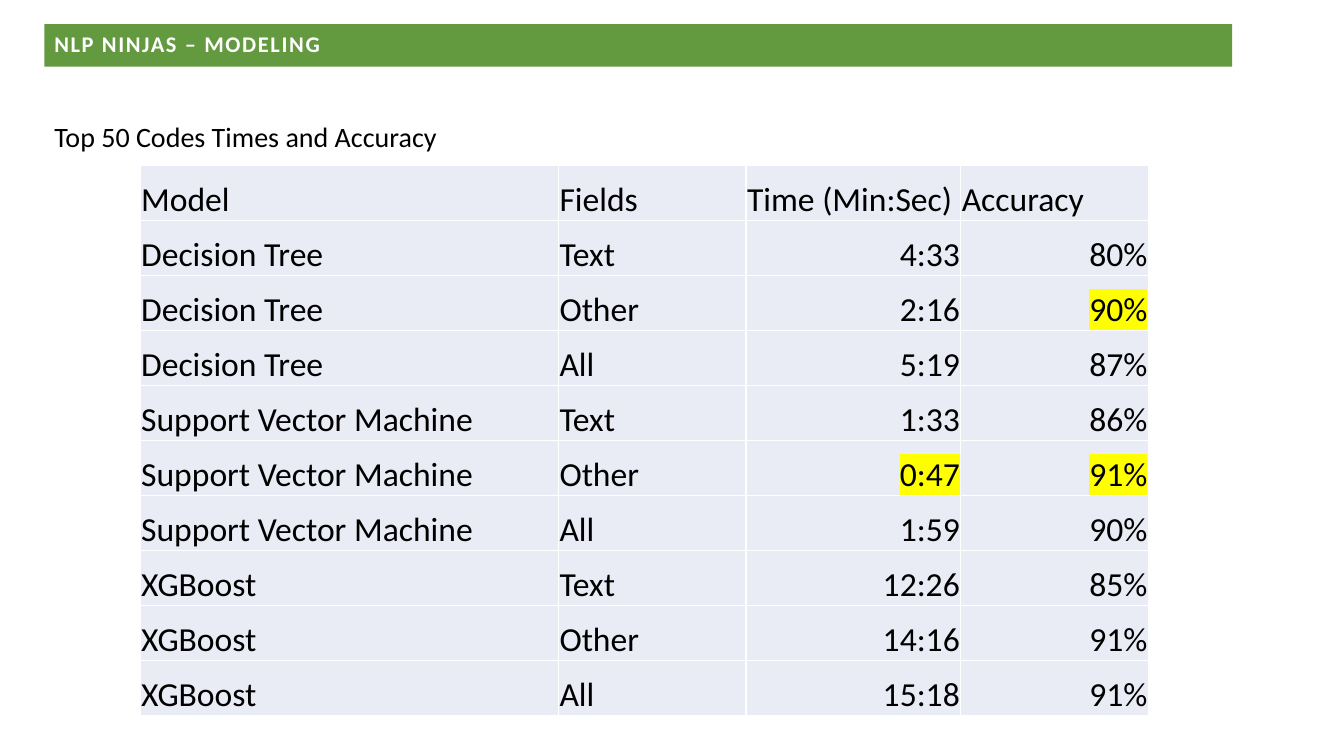
from lxml import etree
from pptx import Presentation
from pptx.dml.color import RGBColor
from pptx.enum.shapes import MSO_SHAPE
from pptx.enum.text import MSO_ANCHOR, PP_ALIGN
from pptx.oxml.ns import qn
from pptx.util import Inches, Pt

RECTANGLE = MSO_SHAPE.RECTANGLE
MIDDLE, BOTTOM = MSO_ANCHOR.MIDDLE, MSO_ANCHOR.BOTTOM
LEFT, RIGHT = PP_ALIGN.LEFT, PP_ALIGN.RIGHT

COLORS = {
    "banner": "63993F",
    "white": "FFFFFF",
    "text": "000000",
    "cell": "E9EBF5",
    "highlight": "FFFF00",
}

HEADERS = ["Model", "Fields", "Time (Min:Sec)", "Accuracy"]
FIELDS = ["Text", "Other", "All"]
RESULTS = {
    "Decision Tree": [("4:33", "80%"), ("2:16", "90%"), ("5:19", "87%")],
    "Support Vector Machine": [("1:33", "86%"), ("0:47", "91%"), ("1:59", "90%")],
    "XGBoost": [("12:26", "85%"), ("14:16", "91%"), ("15:18", "91%")],
}
HIGHLIGHTED = {(2, 3), (5, 2), (5, 3)}  # row, column
COLUMN_SHARES = [0.415, 0.186, 0.213, 0.186]


def rgb(name):
    return RGBColor.from_string(COLORS[name])


def set_values(target, values):
    for name, value in values.items():
        setattr(target, name, value)


def write(paragraph, text, size, color="text", bold=False):
    run = paragraph.add_run()
    run.text = text
    set_values(run.font, {"name": "Calibri", "size": Pt(size), "bold": bold})
    run.font.color.rgb = rgb(color)
    return run


def highlight(run):
    mark = etree.Element(qn("a:highlight"))
    etree.SubElement(mark, qn("a:srgbClr"), val=COLORS["highlight"])
    run.font.fill  # the mark must follow the text fill
    run._r.rPr.find(qn("a:solidFill")).addnext(mark)


def add_borders(cell):
    properties = cell._tc.get_or_add_tcPr()
    for side in ("lnL", "lnR", "lnT", "lnB"):
        line = etree.SubElement(properties, qn(f"a:{side}"), w=str(Pt(1)))
        fill = etree.SubElement(line, qn("a:solidFill"))
        etree.SubElement(fill, qn("a:srgbClr"), val=COLORS["white"])


def add_banner(slide, left, top, width, height):
    shape = slide.shapes.add_shape(
        RECTANGLE, Inches(left), Inches(top), Inches(width), Inches(height))
    shape.shadow.inherit = False
    shape.fill.solid()
    shape.fill.fore_color.rgb = rgb("banner")
    shape.line.fill.background()
    set_values(shape.text_frame, {
        "word_wrap": True, "vertical_anchor": MIDDLE,
        "margin_top": 0, "margin_bottom": 0})
    paragraph = shape.text_frame.paragraphs[0]
    set_values(paragraph, {"alignment": LEFT, "line_spacing": 0.9})
    run = write(paragraph, "NLP NINJAS – MODELING", 16, "white", True)
    run._r.rPr.set("spc", "120")


def add_heading(slide, left, top, width, height):
    box = slide.shapes.add_textbox(
        Inches(left), Inches(top), Inches(width), Inches(height))
    box.text_frame.word_wrap = True
    paragraph = box.text_frame.paragraphs[0]
    paragraph.line_spacing = 0.9
    write(paragraph, "Top 50 Codes Times and Accuracy", 20)


def add_results_table(slide, left, top, width, height):
    rows = [HEADERS] + [
        [model, field, *scores]
        for model, results in RESULTS.items()
        for field, scores in zip(FIELDS, results)]
    table = slide.shapes.add_table(
        len(rows), len(HEADERS), Inches(left), Inches(top),
        Inches(width), Inches(height)).table
    set_values(table, {"first_row": False, "horz_banding": False})
    for column, share in zip(table.columns, COLUMN_SHARES):
        column.width = Inches(width * share)

    for row_index, row in enumerate(rows):
        for column_index, text in enumerate(row):
            cell = table.cell(row_index, column_index)
            set_values(cell, {
                "vertical_anchor": BOTTOM, "margin_left": Inches(0.01),
                "margin_right": Inches(0.01), "margin_top": Inches(0.01),
                "margin_bottom": 0})
            add_borders(cell)
            cell.fill.solid()
            cell.fill.fore_color.rgb = rgb("cell")
            paragraph = cell.text_frame.paragraphs[0]
            is_number = row_index > 0 and column_index > 1
            paragraph.alignment = RIGHT if is_number else LEFT
            run = write(paragraph, text, 24)
            if (row_index, column_index) in HIGHLIGHTED:
                highlight(run)


def main():
    presentation = Presentation()
    presentation.slide_width = Inches(13.33)
    presentation.slide_height = Inches(7.5)
    slide = presentation.slides.add_slide(presentation.slide_layouts[6])
    add_banner(slide, 0.44, 0.24, 11.78, 0.42)
    add_heading(slide, 0.44, 1.17, 11.78, 0.45)
    add_results_table(slide, 1.39, 1.64, 10, 5.46)
    presentation.save("out.pptx")


if __name__ == "__main__":
    main()
